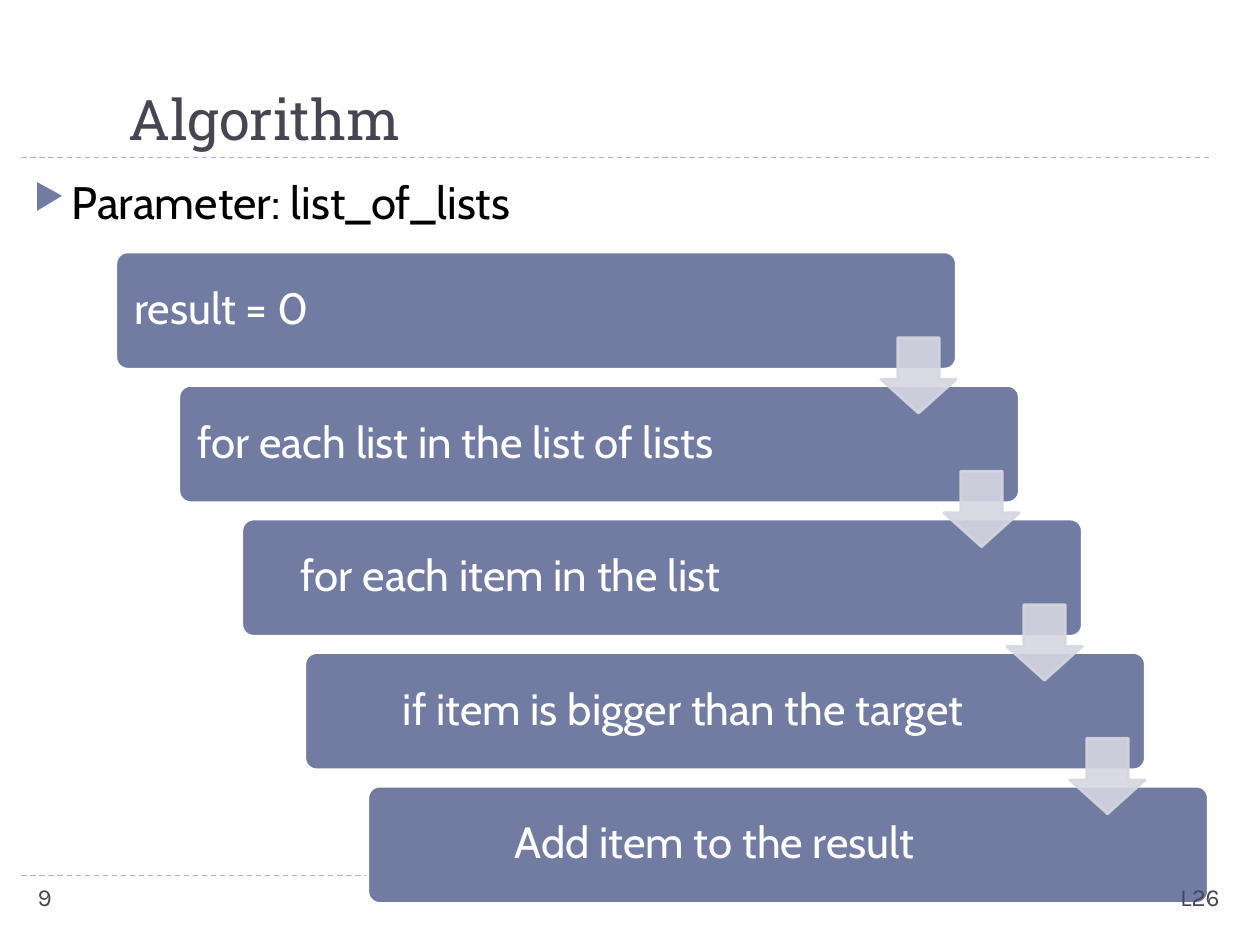
"""Build the slide that shows an algorithm as a staircase of steps."""
from lxml import etree
from pptx import Presentation
from pptx.dml.color import RGBColor
from pptx.enum.dml import MSO_LINE
from pptx.enum.shapes import MSO_CONNECTOR, MSO_SHAPE
from pptx.enum.text import MSO_ANCHOR, PP_ALIGN
from pptx.oxml.ns import qn
from pptx.util import Inches, Pt

DASH = MSO_LINE.DASH
STRAIGHT = MSO_CONNECTOR.STRAIGHT
ROUNDED = MSO_SHAPE.ROUNDED_RECTANGLE
DOWN_ARROW = MSO_SHAPE.DOWN_ARROW
TOP, MIDDLE, BOTTOM = MSO_ANCHOR.TOP, MSO_ANCHOR.MIDDLE, MSO_ANCHOR.BOTTOM
LEFT, RIGHT = PP_ALIGN.LEFT, PP_ALIGN.RIGHT

SLATE = RGBColor(0x72, 0x7C, 0xA3)
PALE = RGBColor(0xD5, 0xD7, 0xE0)
RULE = RGBColor(0x9F, 0xB8, 0xCD)
INK = RGBColor(0x46, 0x46, 0x53)
BLACK = RGBColor(0, 0, 0)
WHITE = RGBColor(0xFF, 0xFF, 0xFF)

FOOTER = {"size": 14, "font": "Karla", "color": INK}
TEXTS = [
    ("Algorithm", (0.92, 0.17, 8.81, 1.08),
     {"size": 32, "font": "Roboto Slab", "color": INK, "anchor": BOTTOM}),
    ("Parameter: list_of_lists", (0.17, 1.33, 9.58, 0.6),
     {"size": 26, "font": "Cabin", "color": BLACK, "space_before": 6,
      "indent": 0.3, "bullet": "▶"}),
]
FOOTERS = [
    ("L26", (7.28, 6.95, 2.5, 0.4), {**FOOTER, "align": RIGHT}),
    ("9", (0.2, 6.95, 2.17, 0.4), FOOTER),
]
STEPS = [
    ("result = 0", 0),
    ("for each list in the list of lists", 0),
    ("for each item in the list", 0.32),
    ("if item is bigger than the target", 0.63),
    ("Add item to the result", 1.02),
]
RULE_TOPS = (6.95, 1.25)
STEP_LEFT, STEP_TOP, STEP_WIDTH, STEP_HEIGHT = 0.92, 2, 6.67, 0.93
SHIFT_X, SHIFT_Y = 0.5, 1.06
ARROW_LEFT, ARROW_TOP, ARROW_SIZE = 6.99, 2.68, 0.6


def write_text(shape, text, *, size, font, color, anchor=TOP, align=LEFT,
               inset=0.1, indent=0, space_before=0, line_spacing=1, bullet=None):
    frame = shape.text_frame
    frame.word_wrap = True
    frame.vertical_anchor = anchor
    frame.margin_left = Inches(inset)
    paragraph = frame.paragraphs[0]
    paragraph.alignment = align
    paragraph.space_before = Pt(space_before)
    paragraph.line_spacing = line_spacing
    run = paragraph.add_run()
    run.text = text
    run.font.name, run.font.size = font, Pt(size)
    run.font.color.rgb = color
    properties = paragraph._p.get_or_add_pPr()
    properties.set("marL", str(Inches(indent)))
    if bullet:
        properties.set("indent", str(-Inches(indent)))
        bullet_color = etree.SubElement(properties, qn("a:buClr"))
        etree.SubElement(bullet_color, qn("a:srgbClr"), val=str(SLATE))
        etree.SubElement(properties, qn("a:buSzPct"), val="76000")
        etree.SubElement(properties, qn("a:buChar"), char=bullet)


def add_text(slide, text, box, **style):
    write_text(slide.shapes.add_textbox(*map(Inches, box)), text, **style)


def add_rule(slide, top):
    rule = slide.shapes.add_connector(
        STRAIGHT, Inches(0.17), Inches(top), Inches(9.62), Inches(top))
    rule.line.color.rgb = RULE
    rule.line.width = Pt(0.75)
    rule.line.dash_style = DASH
    etree.SubElement(rule._element.spPr, qn("a:effectLst"))


def add_block(slide, kind, box, adjustments, fill, line):
    shape = slide.shapes.add_shape(kind, *map(Inches, box))
    shape.shadow.inherit = False
    for index, value in enumerate(adjustments):
        shape.adjustments[index] = value
    shape.fill.solid()
    shape.fill.fore_color.rgb = fill
    shape.line.color.rgb = line
    shape.line.width = Pt(1.5)
    return shape


def add_step(slide, index, text, indent):
    box = (STEP_LEFT + index * SHIFT_X, STEP_TOP + index * SHIFT_Y,
           STEP_WIDTH, STEP_HEIGHT)
    step = add_block(slide, ROUNDED, box, [0.1], SLATE, WHITE)
    write_text(step, text, size=25, font="Cabin", color=WHITE, anchor=MIDDLE,
               inset=0.12, indent=indent, line_spacing=0.9)


def add_arrow(slide, index):
    box = (ARROW_LEFT + index * SHIFT_X, ARROW_TOP + index * SHIFT_Y,
           ARROW_SIZE, ARROW_SIZE)
    arrow = add_block(slide, DOWN_ARROW, box, [0.55, 0.45], PALE, PALE)
    for color in arrow._element.spPr.iter(qn("a:srgbClr")):
        etree.SubElement(color, qn("a:alpha"), val="90000")


def main():
    presentation = Presentation()
    presentation.slide_width, presentation.slide_height = Inches(10), Inches(7.5)
    slide = presentation.slides.add_slide(presentation.slide_layouts[6])
    for top in RULE_TOPS:
        add_rule(slide, top)
    for text, box, style in TEXTS:
        add_text(slide, text, box, **style)
    for index, (text, indent) in enumerate(STEPS):
        add_step(slide, index, text, indent)
    for index in range(len(STEPS) - 1):
        add_arrow(slide, index)
    for text, box, style in FOOTERS:
        add_text(slide, text, box, **style)
    presentation.save("out.pptx")


if __name__ == "__main__":
    main()
